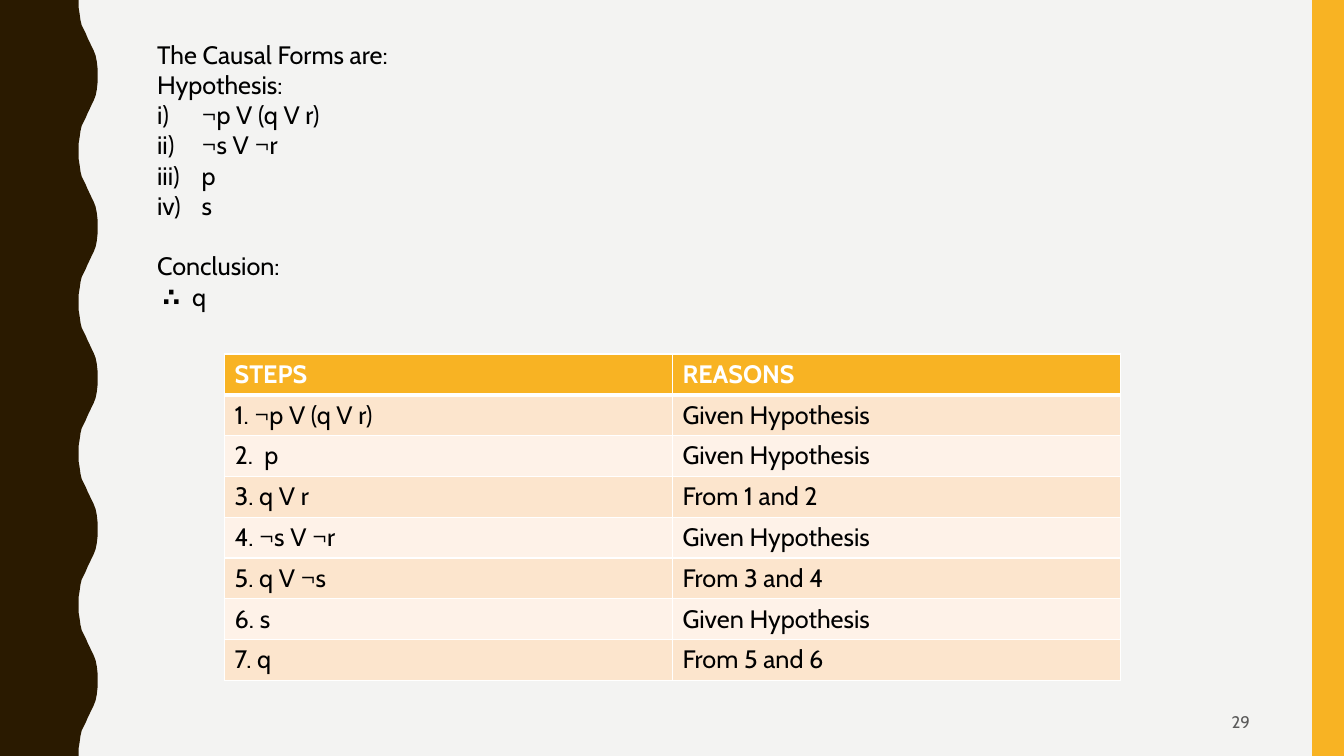
"""Build the slide that proves a conclusion from its clausal forms."""
from lxml import etree
from pptx import Presentation
from pptx import util as u
from pptx.dml.color import RGBColor
from pptx.enum import shapes, text
from pptx.oxml.ns import qn

COLOURS = {
    "ground": "F3F3F2", "wave": "2A1A00", "accent": "F8B323",
    "odd": "FCE5CD", "even": "FEF2E8", "ink": "000000",
    "white": "FFFFFF", "number": "595959",
}
WIDTH, HEIGHT, WAVES = 33.87, 19.05, 5
HALF_WAVE = [
    (1.98, 0), (1.98, 0.18), (2.01, 0.36), (2.03, 0.51), (2.06, 0.64),
    (2.11, 0.74), (2.16, 0.84), (2.21, 0.96), (2.26, 1.06), (2.31, 1.17),
    (2.36, 1.27), (2.41, 1.4), (2.44, 1.55), (2.46, 1.73), (2.46, 1.9),
]
HYPOTHESES = ["¬p V (q V r)", "¬s V ¬r", "p", "s"]
PROOF = [
    ("STEPS", "REASONS"),
    ("1. ¬p V (q V r)", "Given Hypothesis"),
    ("2.  p", "Given Hypothesis"),
    ("3. q V r", "From 1 and 2"),
    ("4. ¬s V ¬r", "Given Hypothesis"),
    ("5. q V ¬s", "From 3 and 4"),
    ("6. s", "Given Hypothesis"),
    ("7. q", "From 5 and 6"),
]


def colour(name):
    return RGBColor.from_string(COLOURS[name])


class SlideBuilder:
    def __init__(self, deck, font="Cabin", size=18):
        self.font, self.size = font, size
        self.page = deck.slides.add_slide(deck.slide_layouts[6])
        self.page.background.fill.solid()
        self.page.background.fill.fore_color.rgb = colour("ground")

    def paint(self, shape, fill):
        shape.shadow.inherit = False
        shape.fill.solid()
        shape.fill.fore_color.rgb = colour(fill)
        shape.line.fill.background()

    def bar(self, left, top, width, height, fill):
        shape = self.page.shapes.add_shape(
            shapes.MSO_SHAPE.RECTANGLE, *map(u.Cm, (left, top, width, height)))
        self.paint(shape, fill)

    def wavy_edge(self, fill):
        period = HEIGHT / WAVES
        wave = HALF_WAVE + [(x, period - y) for x, y in HALF_WAVE[:0:-1]]
        outline = [(x, y + period * turn) for turn in range(WAVES) for x, y in wave]
        outline += [(HALF_WAVE[0][0], HEIGHT), (0, HEIGHT)]
        builder = self.page.shapes.build_freeform(0, 0)
        builder.add_line_segments([(u.Cm(x), u.Cm(y)) for x, y in outline])
        self.paint(builder.convert_to_shape(), fill)

    def style(self, para, ink="ink", size=None, bold=False):
        for span in para.runs:
            span.font.name = self.font
            span.font.size = u.Pt(size or self.size)
            span.font.bold = bold
            span.font.color.rgb = colour(ink)

    def text_box(self, left, top, width, height):
        box = self.page.shapes.add_textbox(*map(u.Cm, (left, top, width, height)))
        box.text_frame.word_wrap = True
        return box.text_frame

    def paragraph(self, frame, words, margin=0, hang=0, numbering=None, before=0):
        para = frame.add_paragraph() if frame.text else frame.paragraphs[0]
        para.text = words
        properties = para._p.get_or_add_pPr()
        properties.set("marL", str(u.Cm(margin)))
        properties.set("indent", str(-u.Cm(hang)))
        if numbering:
            etree.SubElement(properties, qn("a:buAutoNum"), type=numbering)
        if before:
            para.space_before = u.Pt(before)
        self.style(para)
        return para

    def page_number(self, number, left, top, width, height):
        frame = self.text_box(left, top, width, height)
        frame.vertical_anchor = text.MSO_ANCHOR.MIDDLE
        para = frame.paragraphs[0]
        para.text = number
        para.alignment = text.PP_ALIGN.RIGHT
        self.style(para, "number", 12)

    def border(self, cell, side, width):
        line = etree.SubElement(cell._tc.get_or_add_tcPr(), qn("a:" + side),
                                w=str(u.Pt(width)))
        fill = etree.SubElement(line, qn("a:solidFill"))
        etree.SubElement(fill, qn("a:srgbClr"), val=COLOURS["white"])

    def table(self, rows, left, top, width, height):
        grid = self.page.shapes.add_table(
            len(rows), len(rows[0]), *map(u.Cm, (left, top, width, height))).table
        for r, row in enumerate(rows):
            fill = "accent" if r == 0 else "odd" if r % 2 else "even"
            heavy = {0: "lnB", 1: "lnT"}.get(r)
            for c, words in enumerate(row):
                cell = grid.cell(r, c)
                for side in ("lnL", "lnR", "lnT", "lnB"):
                    self.border(cell, side, 3 if side == heavy else 1)
                cell.fill.solid()
                cell.fill.fore_color.rgb = colour(fill)
                para = cell.text_frame.paragraphs[0]
                para.text = words
                self.style(para, "ink" if r else "white", bold=r == 0)


def main():
    deck = Presentation()
    deck.slide_width, deck.slide_height = u.Cm(WIDTH), u.Cm(HEIGHT)
    slide = SlideBuilder(deck)
    slide.wavy_edge("wave")
    slide.bar(33.07, 0, 0.8, HEIGHT, "accent")
    slide.page_number("29", 23.93, 17.7, 7.82, 0.97)

    frame = slide.text_box(3.71, 0.86, 12.27, 7.19)
    slide.paragraph(frame, "The Causal Forms are:")
    slide.paragraph(frame, "Hypothesis:")
    for hypothesis in HYPOTHESES:
        slide.paragraph(frame, hypothesis, 1.12, 1.12, "romanLcParenR")
    slide.paragraph(frame, "Conclusion:", before=21.6)
    result = slide.paragraph(frame, "∴\t", 0.88, 0.74)
    result.add_run().text = "q"
    slide.style(result)
    result.runs[0].font.bold = True

    slide.table(PROOF, 5.66, 8.92, 22.58, 8.23)
    deck.save("out.pptx")


if __name__ == "__main__":
    main()
